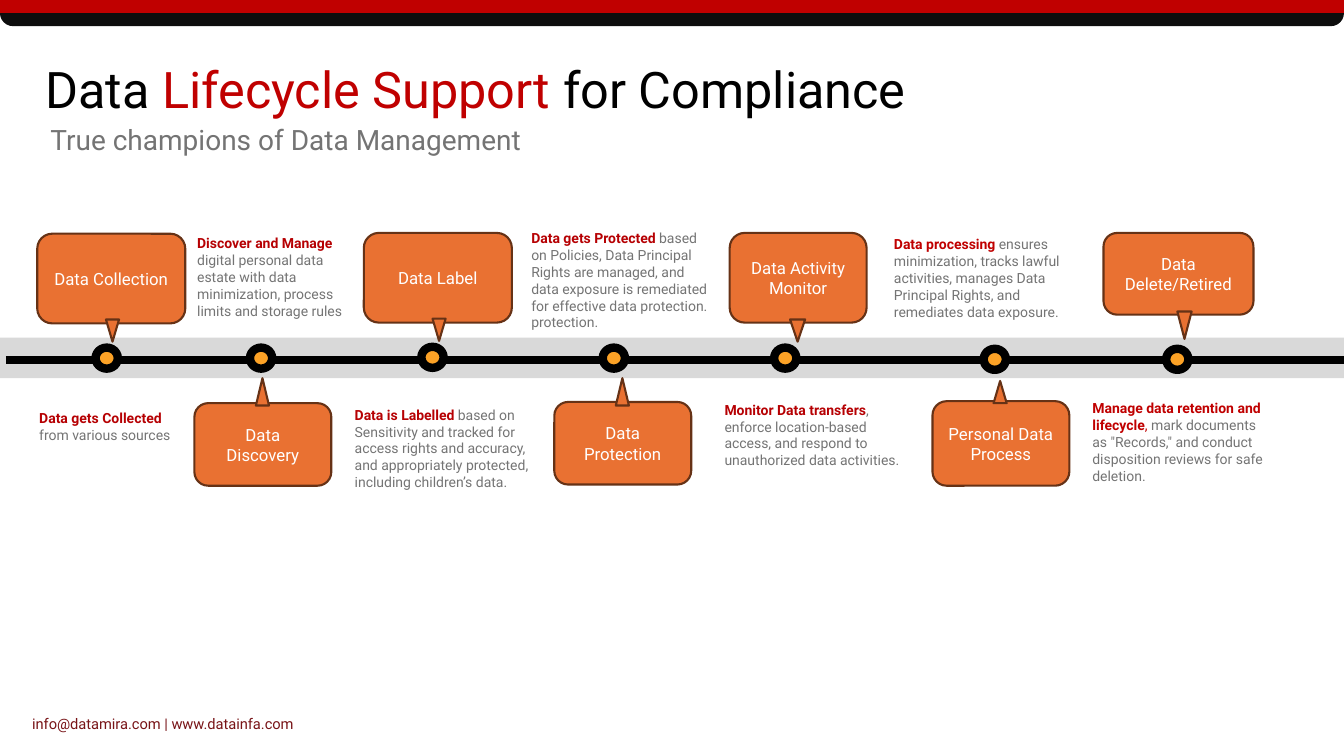
from lxml import etree
from pptx import Presentation
from pptx.dml.color import RGBColor
from pptx.enum.shapes import MSO_CONNECTOR, MSO_SHAPE as SHAPE
from pptx.enum.text import MSO_ANCHOR as ANCHOR, PP_ALIGN as ALIGN
from pptx.oxml.ns import qn
from pptx.util import Cm, Pt

BLACK = RGBColor(0x00, 0x00, 0x00)
NEAR_BLACK = RGBColor(0x0D, 0x0D, 0x0D)
WHITE = RGBColor(0xFF, 0xFF, 0xFF)
RED = RGBColor(0xC0, 0x00, 0x00)
NOTE_RED = RGBColor(0xB6, 0x00, 0x03)
MAROON = RGBColor(0x78, 0x14, 0x17)
GRAY = RGBColor(0x74, 0x74, 0x74)
BAND_GRAY = RGBColor(0xD9, 0xD9, 0xD9)
ORANGE = RGBColor(0xE9, 0x71, 0x32)
BROWN = RGBColor(0x66, 0x32, 0x16)
AMBER = RGBColor(0xFC, 0xA2, 0x26)

WIDTH, HEIGHT = 33.87, 19.05
NO_INSET = (0, 0)
INSET = (0.25, 0.13)

STAGES = [
    dict(label="Data Collection", box=(0.94, 5.89, 3.73, 2.26),
         pointer=(2.67, 8.05, 0.33, 0.56), dot=(2.41, 8.76),
         note=(0.74, 10.19, 4.19, 1.12), inset=INSET,
         runs=[("Data gets Collected ", NOTE_RED, True),
               ("from various sources", GRAY, False)]),
    dict(label="Data Discovery", box=(4.9, 10.16, 3.45, 2.08),
         pointer=(6.45, 9.53, 0.33, 0.69), dot=(6.3, 8.76),
         note=(4.72, 5.79, 4.47, 2.39), inset=INSET,
         runs=[("Discover and Manage ", NOTE_RED, True),
               ("digital personal data estate with data minimization, "
                "process limits and storage rules", GRAY, False)]),
    dict(label="Data Label", box=(9.17, 5.87, 3.73, 2.26),
         pointer=(10.9, 8.03, 0.33, 0.56), dot=(10.62, 8.74),
         note=(8.69, 10.11, 5.05, 2.39), inset=INSET,
         runs=[("Data is Labelled ", NOTE_RED, True),
               ("based on Sensitivity and tracked for access rights and accuracy, "
                "and appropriately protected, including children’s data.", GRAY, False)]),
    dict(label="Data Protection", box=(13.97, 10.13, 3.45, 2.08),
         pointer=(15.52, 9.53, 0.33, 0.69), dot=(15.19, 8.76),
         note=(13.39, 5.79, 4.5, 2.57), inset=NO_INSET,
         runs=[("Data gets Protected ", NOTE_RED, True),
               ("based on Policies, Data Principal Rights are managed, and data exposure "
                "is remediated for effective data protection. protection.", GRAY, False)]),
    dict(label="Data Activity Monitor", box=(18.39, 5.87, 3.45, 2.26),
         pointer=(19.91, 8.05, 0.38, 0.56), dot=(19.51, 8.76),
         note=(18.26, 10.11, 4.47, 1.7), inset=NO_INSET,
         runs=[("Monitor Data transfers", NOTE_RED, True),
               (", enforce location-based access, and respond to "
                "unauthorized data activities.", GRAY, False)]),
    dict(label="Personal Data Process", box=(23.5, 10.11, 3.45, 2.13),
         pointer=(25.04, 9.6, 0.33, 0.56), dot=(24.79, 8.79),
         note=(22.53, 5.94, 4.6, 2.13), inset=NO_INSET,
         runs=[("Data processing ", RED, True),
               ("ensures minimization, tracks lawful activities, manages Data Principal "
                "Rights, and remediates data exposure.", GRAY, False)]),
    dict(label="Data Delete/Retired", box=(27.81, 5.87, 3.78, 2.06),
         pointer=(29.67, 7.85, 0.36, 0.69), dot=(29.39, 8.79),
         note=(27.53, 10.08, 4.47, 2.13), inset=NO_INSET,
         runs=[("Manage data retention and lifecycle", RED, True),
               (", ", RED, False),
               ("mark documents as \"Records,\" and conduct disposition reviews "
                "for safe deletion.", GRAY, False)]),
]


class LifecycleSlide:
    font = "Roboto"

    def __init__(self, prs):
        self.s = prs.slides.add_slide(prs.slide_layouts[6])

    def fill_text(self, sp, runs, size, inset, **paragraph_format):
        tf = sp.text_frame
        side, top = map(Cm, inset)
        frame_format = dict(word_wrap=True, margin_left=side, margin_right=side,
                            margin_top=top, margin_bottom=top)
        for name, value in frame_format.items():
            setattr(tf, name, value)
        p = tf.paragraphs[0]
        for name, value in paragraph_format.items():
            setattr(p, name, value)
        for text, color, bold in runs:
            r = p.add_run()
            r.text = text
            for name, value in dict(name=self.font, size=Pt(size), bold=bold).items():
                setattr(r.font, name, value)
            r.font.color.rgb = color

    def text(self, box, runs, size, inset=NO_INSET, **paragraph_format):
        sp = self.s.shapes.add_textbox(*map(Cm, box))
        self.fill_text(sp, runs, size, inset, **paragraph_format)

    def shape(self, kind, box, fill, line=None, weight=1.5):
        sp = self.s.shapes.add_shape(kind, *map(Cm, box))
        sp.shadow.inherit = False
        sp.fill.solid()
        sp.fill.fore_color.rgb = fill
        if line is None:
            sp.line.fill.background()
        else:
            sp.line.color.rgb = line
            sp.line.width = Pt(weight)
        return sp

    def line(self, x1, y1, x2, y2, color, weight):
        cx = self.s.shapes.add_connector(MSO_CONNECTOR.STRAIGHT, *map(Cm, (x1, y1, x2, y2)))
        cx.line.color.rgb = color
        cx.line.width = Pt(weight)
        etree.SubElement(cx._element.spPr, qn("a:effectLst"))

    def callout(self, label, box, pointer):
        sp = self.shape(SHAPE.ROUNDED_RECTANGLE, box, ORANGE, BROWN)
        self.fill_text(sp, [(label, WHITE, False)], 12, INSET, alignment=ALIGN.CENTER)
        sp.text_frame.vertical_anchor = ANCHOR.MIDDLE
        tip = self.shape(SHAPE.ISOSCELES_TRIANGLE, pointer, ORANGE, BROWN)
        tip.rotation = 180 if pointer[1] > box[1] else 0

    def dot(self, x, y):
        self.shape(SHAPE.OVAL, (x, y, 0.56, 0.53), AMBER, BLACK, 6)


def main():
    prs = Presentation()
    prs.slide_width, prs.slide_height = Cm(WIDTH), Cm(HEIGHT)
    slide = LifecycleSlide(prs)

    header = slide.shape(SHAPE.ROUNDED_RECTANGLE, (0, 0, WIDTH, 0.66), NEAR_BLACK)
    header.adjustments[0] = 0.5
    slide.shape(SHAPE.FLOWCHART_PROCESS, (0, 0, WIDTH, 0.33), RED)
    slide.text((1.14, 1.63, 29.21, 1.5),
               [("Data ", BLACK, False), ("Lifecycle Support ", RED, False),
                ("for Compliance", BLACK, False)], 36, line_spacing=0.9)
    slide.text((1.27, 3.18, 18, 0.91),
               [("True champions of Data Management", GRAY, False)], 20, line_spacing=0.9)

    slide.shape(SHAPE.RECTANGLE, (0, 8.51, WIDTH, 1.02), BAND_GRAY)
    slide.line(0.15, 9.07, WIDTH, 9.07, BLACK, 6)
    for stage in STAGES:
        slide.callout(stage["label"], stage["box"], stage["pointer"])
        slide.dot(*stage["dot"])
        slide.text(stage["note"], stage["runs"], 10, stage["inset"])

    slide.text((0.81, 17.65, 13.64, 0.71),
               [("info@datamira.com | www.datainfa.com", MAROON, False)], 10.5,
               line_spacing=Pt(22.9))
    prs.save("out.pptx")


if __name__ == "__main__":
    main()
